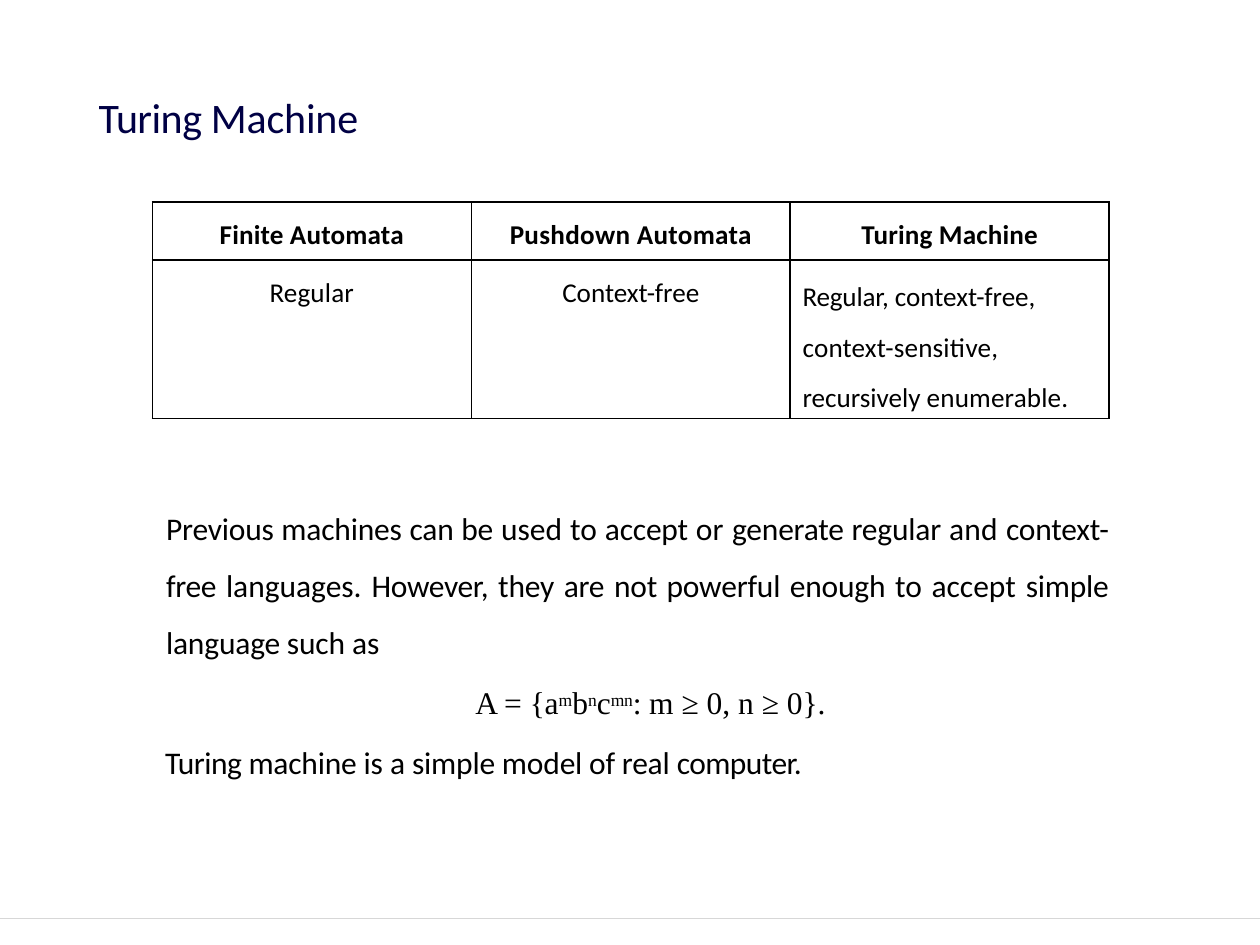
from lxml import etree
from pptx import Presentation
from pptx import util as u
from pptx.dml.color import RGBColor
from pptx.enum import shapes, text
from pptx.oxml.ns import qn

SANS, SERIF = "Calibri", "Times New Roman"
CENTER, LEFT, JUSTIFY = text.PP_ALIGN.CENTER, text.PP_ALIGN.LEFT, text.PP_ALIGN.JUSTIFY


def rgb(value):
    return RGBColor.from_string(value)


def add_run(p, content, size, font=SANS, color="000000", bold=False, spacing=0, raised=0):
    r = p.add_run()
    r.text = content
    r.font.name, r.font.size, r.font.bold = font, u.Pt(size), bold
    r.font.color.rgb = rgb(color)
    r_pr = r.font._element
    if spacing:
        r_pr.set("spc", str(round(spacing * 100)))
    if raised:
        r_pr.set("baseline", str(raised * 1000))


def format_paragraph(p, align, indent=0, before=0, line=None):
    p.alignment = align
    p.space_before = u.Pt(before)
    if line:
        p.line_spacing = line
    p_pr = p._p.get_or_add_pPr()
    p_pr.set("marL", str(u.Cm(indent)))
    p_pr.set("indent", "0")


def prepare_frame(tf, top=0.0, right=0.0):
    tf.word_wrap = True
    tf.auto_size = text.MSO_AUTO_SIZE.NONE
    tf.vertical_anchor = text.MSO_ANCHOR.TOP
    tf.margin_left = tf.margin_bottom = 0
    tf.margin_top, tf.margin_right = u.Cm(top), u.Cm(right)


def add_title(s, x, y, w, h):
    sp = s.shapes.title
    sp.left, sp.top, sp.width, sp.height = u.Cm(x), u.Cm(y), u.Cm(w), u.Cm(h)
    prepare_frame(sp.text_frame, top=0.05)
    p = sp.text_frame.paragraphs[0]
    format_paragraph(p, LEFT, 0.03)
    for content, spacing in (("Turing ", -0.3), ("Machine", -0.1)):
        add_run(p, content, 24, color="000044", spacing=spacing)


def add_border(cell):
    tc_pr = cell._tc.get_or_add_tcPr()
    for index, side in enumerate(("a:lnL", "a:lnR", "a:lnT", "a:lnB")):
        ln = etree.Element(qn(side), w=str(u.Pt(1)))
        fill = etree.SubElement(ln, qn("a:solidFill"))
        etree.SubElement(fill, qn("a:srgbClr"), val="000000")
        tc_pr.insert(index, ln)


def add_machine_table(s, x, y, w, heights):
    rows = [
        [[("Finite Automata", 0.1)], [("Pushdown Automata", 0.2)], [("Turing Machine", 0.1)]],
        [[("Regular", 0.1)], [("Context-free", 0)],
         [("Regular, ", -0.1), ("context-free, ", 0), ("context-sensitive, ", 0.1),
          ("recursively ", 0), ("enumerable.", 0.1)]],
    ]
    frame = s.shapes.add_table(2, 3, u.Cm(x), u.Cm(y), u.Cm(w), u.Cm(sum(heights)))
    table = frame.table
    for column in table.columns:
        column.width = u.Cm(w / 3)
    for i, row in enumerate(rows):
        table.rows[i].height = u.Cm(heights[i])
        for j, runs in enumerate(row):
            cell = table.cell(i, j)
            is_list = len(runs) > 1
            cell.fill.background()
            add_border(cell)
            cell.vertical_anchor = text.MSO_ANCHOR.TOP
            cell.margin_left = cell.margin_right = cell.margin_bottom = 0
            cell.margin_top = u.Cm(0.08 if is_list else 0.33)
            p = cell.text_frame.paragraphs[0]
            if is_list:
                format_paragraph(p, LEFT, 0.25, line=u.Pt(28.8))
            else:
                format_paragraph(p, CENTER)
            for content, spacing in runs:
                add_run(p, content, 15.5, bold=i == 0, spacing=spacing)


def add_explanation(s, x, y, w, h):
    tf = s.shapes.add_textbox(u.Cm(x), u.Cm(y), u.Cm(w), u.Cm(h)).text_frame
    prepare_frame(tf, top=0.03, right=0.28)

    p = tf.paragraphs[0]
    format_paragraph(p, JUSTIFY, 0.15, line=1.5)
    for content, spacing in (
        ("Previous machines can be ", -0.1), ("used to ", 0), ("accept ", -0.1),
        ("or ", 0.1), ("generate regular ", -0.1), ("and ", 0.1), ("context- ", -0.1),
        ("free ", -0.2), ("languages. ", 0), ("However, ", -0.2), ("they ", -0.1),
        ("are ", -0.2), ("not powerful enough ", -0.1), ("to accept ", 0),
        ("simple language such ", -0.1), ("as", 0),
    ):
        add_run(p, content, 18, spacing=spacing)

    p = tf.add_paragraph()
    format_paragraph(p, CENTER, 0.68, before=12.8)
    add_run(p, "A = ", 18, SERIF)
    for base, exponent in (("{a", "m"), ("b", "n"), ("c", "mn")):
        add_run(p, base, 18, SERIF, spacing=-0.1)
        add_run(p, exponent, 17.2, SERIF, spacing=-0.1, raised=27)
    add_run(p, ": ", 18, SERIF, spacing=-0.1)
    add_run(p, "m ≥ 0, n ≥ 0}.", 18, SERIF)

    p = tf.add_paragraph()
    format_paragraph(p, JUSTIFY, 0.13, before=12.8)
    for content, spacing in (("Turing ", -0.3), ("machine is", -0.1), (" a", 0),
                             (" simple model of real ", -0.1), ("computer.", -0.3)):
        add_run(p, content, 18, spacing=spacing)


def add_footer_rule(s, x, y, w):
    rule = s.shapes.add_connector(shapes.MSO_CONNECTOR.STRAIGHT,
                                  u.Cm(x), u.Cm(y), u.Cm(x + w), u.Cm(y))
    rule.line.color.rgb = rgb("D7D7D7")
    rule.line.width = u.Pt(0.75)
    etree.SubElement(rule._element.spPr, qn("a:effectLst"))


def main():
    prs = Presentation()
    prs.slide_width, prs.slide_height = u.Cm(25.4), u.Cm(19.05)
    s = prs.slides.add_slide(prs.slide_layouts[5])
    add_footer_rule(s, 0, 18.52, 25.4)
    add_title(s, 1.96, 1.8, 5.38, 1.09)
    add_machine_table(s, 3.07, 4.07, 19.29, (1.17, 3.2))
    add_explanation(s, 3.2, 9.86, 19.43, 5.92)
    prs.save("out.pptx")


if __name__ == "__main__":
    main()
